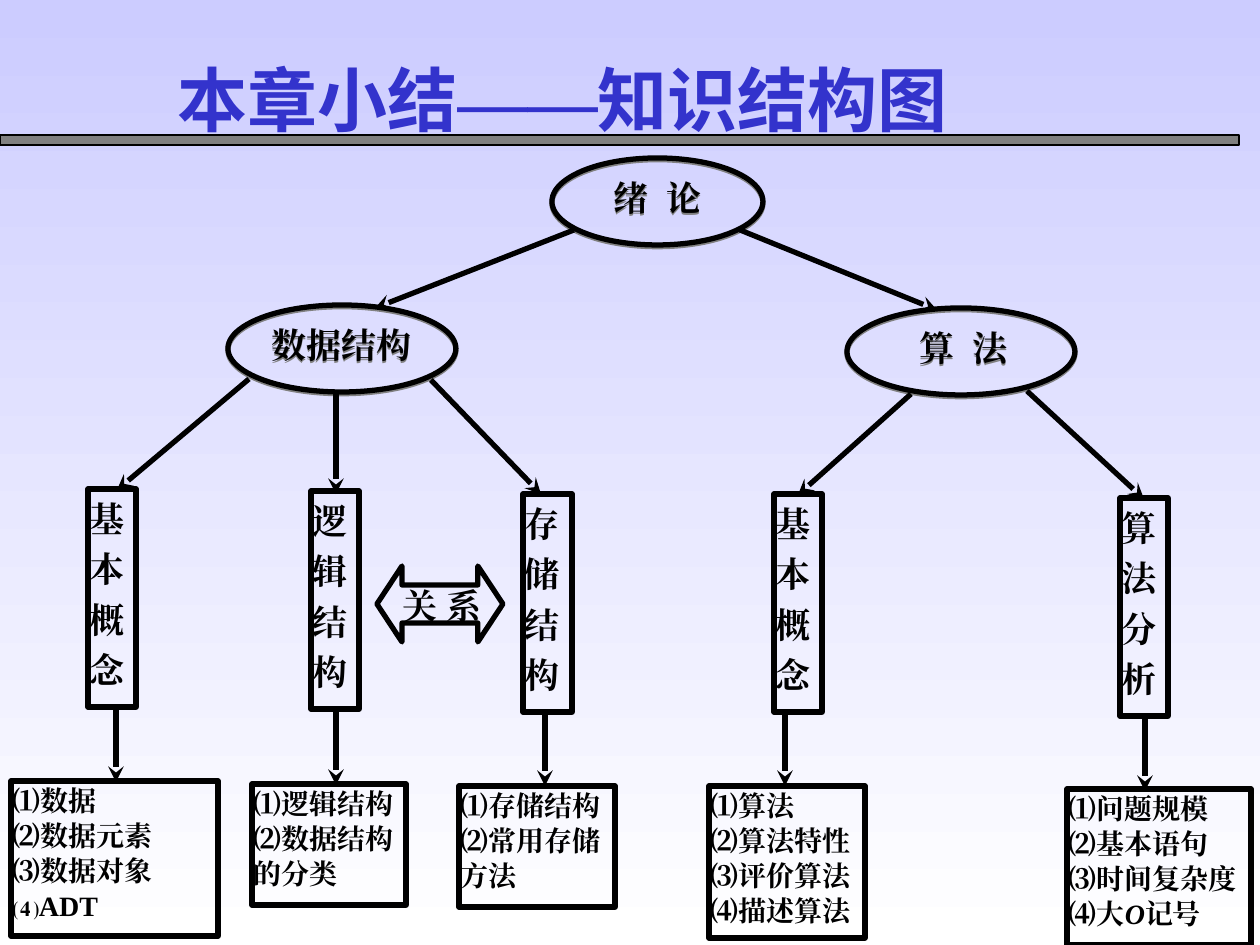
from lxml.etree import SubElement
from pptx import Presentation
from pptx.dml.color import RGBColor
from pptx.enum.dml import MSO_THEME_COLOR
from pptx.enum.shapes import MSO_CONNECTOR, MSO_SHAPE
from pptx.enum.text import MSO_ANCHOR, PP_ALIGN
from pptx.oxml.ns import qn
from pptx.util import Pt

PX = 7257.6  # EMU per px, 126 px to the inch
COLORS = {"sky": "CCCCFF", "white": "FFFFFF", "gray": "808080",
          "title": "3333CC", "black": "000000"}
SERIF, SANS = "Times New Roman", "Noto Sans CJK SC"

TITLE = [("本章小结", SANS), ("——", SERIF), ("知识结构图", SANS)]

# Topics: text, box, left and right insets
TOPICS = [
    ("绪  论", (552, 158, 211, 87), (13, 13)),
    ("数据结构", (228, 305, 228, 87), (8, 8)),
    ("算  法", (847, 308, 228, 87), (18, 13)),
]

# Branches: heading, its box, detail lines, their box, arrow x and its ends
BRANCHES = [
    ("基本概念", (88, 489, 48, 218),
     ["⑴数据", "⑵数据元素", "⑶数据对象", "⑷ADT"],
     (11, 781, 207, 155), (116, 709, 782)),
    ("逻辑结构", (311, 491, 48, 218),
     ["⑴逻辑结构", "⑵数据结构", "的分类"],
     (252, 784, 154, 121), (336, 711, 785)),
    ("存储结构", (523, 494, 49, 218),
     ["⑴存储结构", "⑵常用存储", "方法"],
     (459, 786, 156, 121), (545, 713, 786)),
    ("基本概念", (774, 494, 48, 218),
     ["⑴算法", "⑵算法特性", "⑶评价算法", "⑷描述算法"],
     (709, 786, 156, 152), (785, 713, 786)),
    ("算法分析", (1120, 498, 48, 218),
     ["⑴问题规模", "⑵基本语句", "⑶时间复杂度", ("⑷大", "O", "记号")],
     (1067, 789, 184, 156), (1145, 717, 791)),
]

# Arrows between levels: start x, y, end x, y
TREE_ARROWS = [
    (574, 230, 375, 308), (740, 230, 937, 310),
    (249, 379, 117, 490), (336, 393, 336, 494), (431, 380, 541, 494),
    (911, 394, 798, 495), (1027, 391, 1144, 499),
]
RELATION = ("关 系", (377, 566, 126, 76))


def emu(*lengths):
    return [round(length * PX) for length in lengths]


def rgb(name):
    return RGBColor.from_string(COLORS[name])


def set_frame(shape, insets, anchor=MSO_ANCHOR.TOP):
    frame = shape.text_frame
    frame.word_wrap = True
    frame.vertical_anchor = anchor
    (frame.margin_left, frame.margin_top,
     frame.margin_right, frame.margin_bottom) = emu(*insets)
    return frame


def add_run(paragraph, text, size, color="black", font=SERIF, italic=None):
    run = paragraph.add_run()
    run.text = text
    run.font.size, run.font.bold, run.font.italic = Pt(size), True, italic
    run.font.color.rgb = rgb(color)
    run.font.name = font
    SubElement(run.font._element, qn("a:ea"), typeface=font)


def add_node(kind, box, insets, lines, size, align, spacing=None):
    shape = slide.shapes.add_shape(kind, *emu(*box))
    shape.shadow.inherit = False
    shape.fill.background()
    shape.line.color.rgb, shape.line.width = rgb("black"), Pt(3)
    frame = set_frame(shape, insets)
    for index, line in enumerate(lines):
        paragraph = frame.add_paragraph() if index else frame.paragraphs[0]
        paragraph.alignment = align
        if spacing:
            paragraph.line_spacing = spacing
        for text in (line,) if isinstance(line, str) else line:
            add_run(paragraph, text, size, italic=True if text == "O" else None)
    return shape


def add_arrow(*ends):
    arrow = slide.shapes.add_connector(MSO_CONNECTOR.STRAIGHT, *emu(*ends))
    arrow.line.color.rgb, arrow.line.width = rgb("black"), Pt(3)
    SubElement(arrow.line._get_or_add_ln(), qn("a:tailEnd"), type="stealth")
    SubElement(arrow._element.spPr, qn("a:effectLst"))


def add_shadow(shape):
    effects = shape._element.spPr.find(qn("a:effectLst"))
    shadow = SubElement(effects, qn("a:outerShdw"), blurRad="0",
                        dist=str(Pt(1)), dir="5400000", rotWithShape="0")
    SubElement(shadow, qn("a:srgbClr"), val=COLORS["gray"])


presentation = Presentation()
presentation.slide_width, presentation.slide_height = emu(1260, 945)
slide = presentation.slides.add_slide(presentation.slide_layouts[6])

# Background gradient, top to bottom
background = slide.background.fill
background.gradient()
background.gradient_angle = 270
for stop, name, position in zip(background.gradient_stops, ("sky", "white"), (0, 1)):
    stop.color.theme_color = MSO_THEME_COLOR.ACCENT_1
    stop.color.rgb = rgb(name)
    stop.position = position

# Rule under the title
rule = slide.shapes.add_shape(MSO_SHAPE.RECTANGLE, *emu(0, 135, 1239, 10))
rule.shadow.inherit = False
rule.fill.solid()
rule.fill.fore_color.rgb = rgb("gray")
rule.line.color.rgb, rule.line.width = rgb("black"), Pt(0.75)

# Title
title = slide.shapes.add_textbox(*emu(165, 50, 934, 97))
title_frame = set_frame(title, (13, 6, 13, 6), MSO_ANCHOR.MIDDLE)
for text, font in TITLE:
    add_run(title_frame.paragraphs[0], text, 40, "title", font)

# Topic ellipses
for text, box, (left, right) in TOPICS:
    add_shadow(add_node(MSO_SHAPE.OVAL, box, (left, 6, right, 6), [text],
                        20, PP_ALIGN.CENTER))

for ends in TREE_ARROWS:
    add_arrow(*ends)

# Branch headings with their details
for heading, heading_box, details, details_box, (x, top, bottom) in BRANCHES:
    add_node(MSO_SHAPE.RECTANGLE, heading_box, (2, 0, 2, 0), [heading],
             20, PP_ALIGN.JUSTIFY, 1.2)
    add_node(MSO_SHAPE.RECTANGLE, details_box, (2, 1, 2, 1), details,
             16, PP_ALIGN.JUSTIFY, 1.04)
    add_arrow(x, top, x, bottom)

# Relation between the two structures
text, box = RELATION
relation = add_node(MSO_SHAPE.LEFT_RIGHT_ARROW, box, (13, 0, 0, 0), [text],
                    20, PP_ALIGN.JUSTIFY)
relation.adjustments[0], relation.adjustments[1] = 0.5, 0.33

presentation.save("out.pptx")
